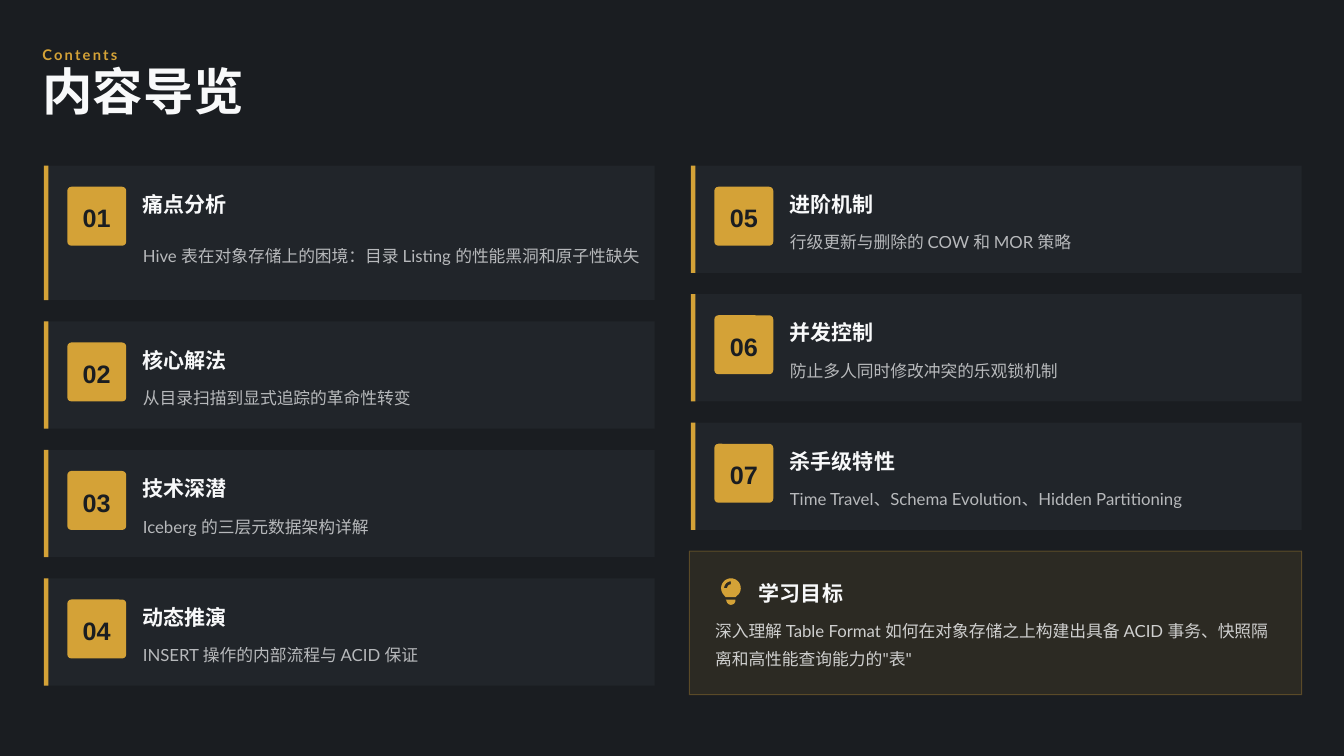
from math import cos, radians, sin

from lxml.etree import SubElement
from pptx import Presentation
from pptx.dml.color import RGBColor
from pptx.enum.lang import MSO_LANGUAGE_ID as Lang
from pptx.enum.shapes import MSO_SHAPE as Shape
from pptx.enum.text import MSO_ANCHOR as Anchor, MSO_AUTO_SIZE as AutoSize, PP_ALIGN as Align
from pptx.oxml.ns import qn
from pptx.util import Inches, Pt

GOLD, DARK, LIGHT, PANEL = "D4A237", "1A1D21", "F8F9FA", "343A40"
TOP, GAP, CARD_WIDTH = 2.19, 0.28, 8.08
ONE_LINE, TWO_LINES = 0.36, 0.72

LEFT_TOPICS = [
    ("01", "痛点分析", "Hive 表在对象存储上的困境：目录 Listing 的性能黑洞和原子性缺失", TWO_LINES),
    ("02", "核心解法", "从目录扫描到显式追踪的革命性转变", ONE_LINE),
    ("03", "技术深潜", "Iceberg 的三层元数据架构详解", ONE_LINE),
    ("04", "动态推演", "INSERT 操作的内部流程与 ACID 保证", ONE_LINE),
]
RIGHT_TOPICS = [
    ("05", "进阶机制", "行级更新与删除的 COW 和 MOR 策略", ONE_LINE),
    ("06", "并发控制", "防止多人同时修改冲突的乐观锁机制", ONE_LINE),
    ("07", "杀手级特性", "Time Travel、Schema Evolution、Hidden Partitioning", ONE_LINE),
]
GOAL = '深入理解 Table Format 如何在对象存储之上构建出具备 ACID 事务、快照隔离和高性能查询能力的"表"'


def paint(fill, color):
    fill.solid()
    fill.fore_color.rgb = RGBColor.from_string(color)


def fade(parent, percent):
    """Make every colour below an XML element partly transparent."""
    for color in parent.iter(qn("a:srgbClr")):
        SubElement(color, qn("a:alpha"), val=str(percent * 1000))


def place(shape, left, top, width, height):
    shape.left, shape.top = Inches(left), Inches(top)
    shape.width, shape.height = Inches(width), Inches(height)


def write(box, text, size, color=LIGHT, bold=True, font="Lato", spacing=1.2, align=Align.LEFT):
    """Put one formatted paragraph in a text box or placeholder."""
    frame = box.text_frame
    frame.text = text
    frame.word_wrap = True
    frame.auto_size = AutoSize.NONE
    frame.vertical_anchor = Anchor.MIDDLE
    frame.margin_left = frame.margin_top = frame.margin_right = frame.margin_bottom = 0
    paragraph = frame.paragraphs[0]
    paragraph.alignment = align
    paragraph.line_spacing = spacing
    run_font = paragraph.runs[0].font
    run_font.name, run_font.size, run_font.bold = font, Pt(size), bold
    run_font.language_id = Lang.SIMPLIFIED_CHINESE
    paint(run_font.fill, color)


def add_text(slide, left, top, width, height, text, size, **style):
    box = slide.shapes.add_textbox(Inches(left), Inches(top), Inches(width), Inches(height))
    write(box, text, size, **style)
    return box


def add_body(slide, left, top, width, height, text, opacity):
    body = add_text(slide, left, top, width, height, text, 16, bold=False, spacing=1.4)
    fade(body.element.txBody, opacity)


def add_block(slide, left, top, width, height, color, kind=Shape.RECTANGLE, opacity=100):
    block = slide.shapes.add_shape(kind, Inches(left), Inches(top), Inches(width), Inches(height))
    block.shadow.inherit = False
    paint(block.fill, color)
    block.line.fill.background()
    if opacity < 100:
        fade(block.element.spPr.find(qn("a:solidFill")), opacity)
    return block


def add_header(slide, left, top):
    eyebrow = add_text(slide, left, top, 16.76, 0.28, "Contents", 14, color=GOLD)
    eyebrow.text_frame.paragraphs[0].runs[0].font._element.set("spc", "210")
    title = slide.shapes.title
    place(title, left, top + 0.38, 17, 0.67)
    write(title, "内容导览", 48, spacing=0.8)


def add_topic_card(slide, left, top, height, number, heading, summary, summary_height):
    add_block(slide, left, top, CARD_WIDTH, height, PANEL, opacity=30)
    add_block(slide, left, top, 0.06, height, GOLD)
    badge = add_block(slide, left + 0.31, top + 0.28, 0.78, 0.78, GOLD, Shape.ROUNDED_RECTANGLE)
    badge.adjustments[0] = 0.07
    add_text(slide, left + 0.23, top + 0.28, 0.94, 0.78, number, 24, color=DARK,
             font="Arial", spacing=1.1, align=Align.CENTER)
    add_text(slide, left + 1.31, top + 0.28, 6.64, 0.39, heading, 20)
    add_body(slide, left + 1.31, top + 0.78, 6.61, summary_height, summary, 70)


def add_topic_column(slide, left, top, topics):
    """Stack the cards and return the top of the next free place."""
    for topic in topics:
        height = 1.06 + topic[-1]
        add_topic_card(slide, left, top, height, *topic)
        top += height + GAP
    return top


def add_bulb(slide, left, top):
    def arc(center_x, center_y, radius, start, end):
        steps = 24
        angles = [radians(start + (end - start) * i / steps) for i in range(steps + 1)]
        return [(center_x + radius * cos(a), center_y + radius * sin(a)) for a in angles]

    head = arc(0.13, 0.13, 0.13, 145, 395) + [(0.19, 0.25), (0.06, 0.25)]
    base = [(0.06, 0.28), (0.19, 0.28)] + arc(0.13, 0.29, 0.06, 0, 180)
    glint = arc(0.13, 0.13, 0.09, 270, 180) + arc(0.13, 0.13, 0.05, 180, 270)
    outlines = [[(Inches(left + x), Inches(top + y)) for x, y in outline]
                for outline in (head, base, glint)]
    builder = slide.shapes.build_freeform(*outlines[0][0])
    for outline in outlines:
        builder.move_to(*outline[0])
        builder.add_line_segments(outline[1:], close=True)
    bulb = builder.convert_to_shape()
    bulb.shadow.inherit = False
    paint(bulb.fill, GOLD)
    bulb.line.fill.background()


def add_goal_panel(slide, left, top, width, height):
    panel = add_block(slide, left, top, width, height, GOLD, opacity=10)
    paint(panel.line.fill, GOLD)
    panel.line.width = Pt(1)
    fade(panel.element.spPr.find(qn("a:ln")), 30)
    add_bulb(slide, left + 0.42, top + 0.36)
    add_text(slide, left + 0.92, top + 0.33, 1.25, 0.39, "学习目标", 20)
    add_body(slide, left + 0.34, top + 0.83, 7.53, TWO_LINES, GOAL, 80)


def main():
    deck = Presentation()
    deck.slide_width, deck.slide_height = Inches(17.78), Inches(10)
    slide = deck.slides.add_slide(deck.slide_layouts[5])
    paint(slide.background.fill, DARK)
    add_header(slide, 0.56, 0.56)
    add_topic_column(slide, 0.58, TOP, LEFT_TOPICS)
    goal_top = add_topic_column(slide, 9.14, TOP, RIGHT_TOPICS)
    add_goal_panel(slide, 9.12, goal_top, 8.1, 1.9)
    deck.save("out.pptx")


if __name__ == "__main__":
    main()
